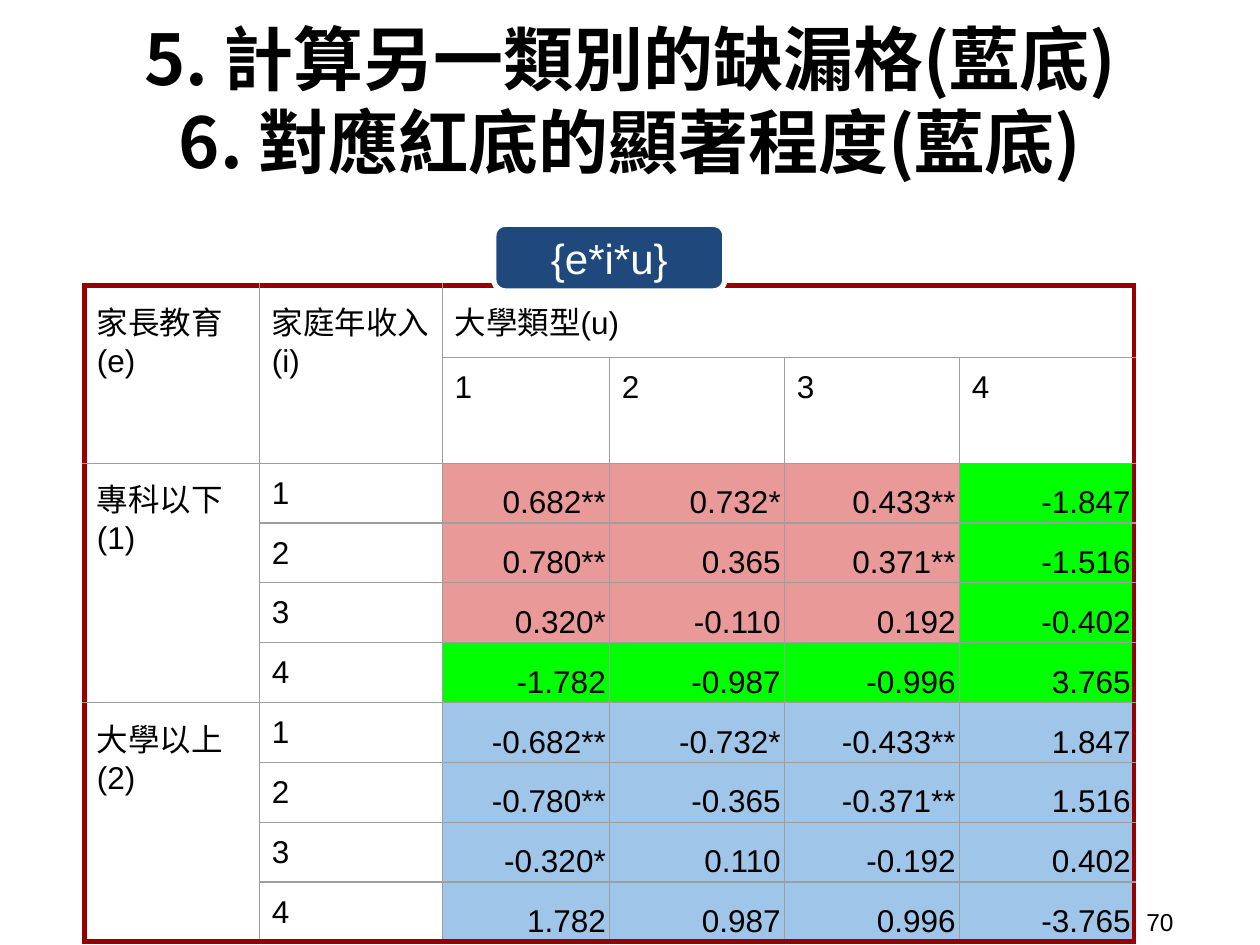
from lxml.etree import SubElement
from pptx import Presentation
from pptx.dml.color import RGBColor
from pptx.enum.shapes import MSO_SHAPE
from pptx.enum.text import MSO_ANCHOR, PP_ALIGN
from pptx.oxml.ns import qn
from pptx.util import Pt

BLACK, WHITE, GREY, RED = "000000", "FFFFFF", "9E9E9E", "980000"
PINK, GREEN, BLUE, NAVY = "EA9999", "00FF00", "9FC5E8", "1F497D"
CJK = "Noto Sans CJK TC"

COLUMN_WIDTHS = [100, 104.5, 95.5, 100, 100, 100]
ROW_HEIGHTS = [41, 60.5] + [34.2] * 8
HEADING_MARGINS = (7.2, 10, 7.2, 4)
LEVEL_MARGINS = (7.2, 7.2, 7.2, 4)
VALUE_MARGINS = (2, 1.5, 2, 1.5)

EDUCATION = ["專科以下\n(1)", "大學以上\n(2)"]
ESTIMATES = [
    ["0.682**", "0.732*", "0.433**", "-1.847"],
    ["0.780**", "0.365", "0.371**", "-1.516"],
    ["0.320*", "-0.110", "0.192", "-0.402"],
    ["-1.782", "-0.987", "-0.996", "3.765"],
    ["-0.682**", "-0.732*", "-0.433**", "1.847"],
    ["-0.780**", "-0.365", "-0.371**", "1.516"],
    ["-0.320*", "0.110", "-0.192", "0.402"],
    ["1.782", "0.987", "0.996", "-3.765"],
]


def color(hex_string):
    return RGBColor.from_string(hex_string)


def write(frame, text, size=18, font="Arial", ink=BLACK, bold=False,
          align=PP_ALIGN.LEFT, spacing=None):
    """Fill a text frame; a newline starts a paragraph, \\v breaks a line."""
    frame.word_wrap = True
    frame.text = text
    for paragraph in frame.paragraphs:
        paragraph.alignment = align
        if spacing:
            paragraph.line_spacing = Pt(spacing)
        for run in paragraph.runs:
            run.font.size, run.font.bold = Pt(size), bold
            run.font.name = font
            run.font.color.rgb = color(ink)
            SubElement(run.font._element, qn("a:ea"), typeface=font)


def set_margins(holder, left, top, right, bottom):
    holder.margin_left, holder.margin_top = Pt(left), Pt(top)
    holder.margin_right, holder.margin_bottom = Pt(right), Pt(bottom)


def add_text(slide, box, text, margins, anchor, **style):
    frame = slide.shapes.add_textbox(*map(Pt, box)).text_frame
    set_margins(frame, *margins)
    frame.vertical_anchor = anchor
    write(frame, text, **style)


def add_badge(slide, box):
    badge = slide.shapes.add_shape(MSO_SHAPE.ROUNDED_RECTANGLE, *map(Pt, box))
    badge.shadow.inherit = False
    badge.adjustments[0] = 0.17
    badge.fill.solid()
    badge.fill.fore_color.rgb = color(NAVY)
    badge.line.color.rgb = color(WHITE)
    badge.line.width = Pt(3)
    badge.text_frame.vertical_anchor = MSO_ANCHOR.MIDDLE
    set_margins(badge.text_frame, 7.2, 7.2, 7.2, 7.2)
    write(badge.text_frame, "{e*i*u}", size=24, ink=WHITE, align=PP_ALIGN.CENTER)


def set_borders(cell, outer_sides):
    """Red on the outer sides of the table, thin grey elsewhere."""
    properties = cell._tc.get_or_add_tcPr()
    for side in "LRTB":
        width, ink = (3, RED) if side in outer_sides else (0.75, GREY)
        line = SubElement(properties, qn(f"a:ln{side}"), w=str(Pt(width)))
        SubElement(SubElement(line, qn("a:solidFill")), qn("a:srgbClr"), val=ink)


def style_cell(table, row, column, text, margins=LEVEL_MARGINS, fill=WHITE,
               anchor=MSO_ANCHOR.TOP, **style):
    cell = table.cell(row, column)
    outer = {
        "L": column == 0,
        "T": row == 0,
        "R": column + cell.span_width == len(COLUMN_WIDTHS),
        "B": row + cell.span_height == len(ROW_HEIGHTS),
    }
    set_borders(cell, [side for side, is_outer in outer.items() if is_outer])
    cell.fill.solid()
    cell.fill.fore_color.rgb = color(fill)
    set_margins(cell, *margins)
    cell.vertical_anchor = anchor
    write(cell.text_frame, text, **style)


def add_estimates(slide, left, top):
    table = slide.shapes.add_table(
        len(ROW_HEIGHTS), len(COLUMN_WIDTHS), Pt(left), Pt(top),
        Pt(sum(COLUMN_WIDTHS)), Pt(sum(ROW_HEIGHTS))).table
    table.first_row = table.horz_banding = False
    for column, width in zip(table.columns, COLUMN_WIDTHS):
        column.width = Pt(width)
    for row, height in zip(table.rows, ROW_HEIGHTS):
        row.height = Pt(height)

    # Header rows
    for column in (0, 1):
        table.cell(0, column).merge(table.cell(1, column))
    table.cell(0, 2).merge(table.cell(0, 5))
    for column, heading in enumerate(["家長教育\n(e)", "家庭年收入\n(i)", "大學類型(u)"]):
        style_cell(table, 0, column, heading, HEADING_MARGINS, spacing=21.7)
    for university in range(1, 5):
        style_cell(table, 1, university + 1, str(university))

    # Education groups of four income levels
    for group, label in enumerate(EDUCATION):
        first = 2 + 4 * group
        table.cell(first, 0).merge(table.cell(first + 3, 0))
        style_cell(table, first, 0, label, HEADING_MARGINS, spacing=21.7)

    # Estimates: the last row and column of the first group are green
    for index, values in enumerate(ESTIMATES):
        group, income = divmod(index, 4)
        style_cell(table, index + 2, 1, str(income + 1))
        for university, value in enumerate(values):
            fill = BLUE if group else GREEN if 3 in (income, university) else PINK
            style_cell(table, index + 2, university + 2, value, VALUE_MARGINS,
                       fill, MSO_ANCHOR.BOTTOM, align=PP_ALIGN.RIGHT)


def main():
    deck = Presentation()
    deck.slide_width, deck.slide_height = Pt(720), Pt(540)
    slide = deck.slides.add_slide(deck.slide_layouts[6])

    # Title
    add_text(slide, (37.5, 13.5, 645, 98),
             "5. 計算另一類別的缺漏格(藍底)\v6. 對應紅底的顯著程度(藍底)",
             (7.2, 7.2, 7.2, 7.2), MSO_ANCHOR.BOTTOM, size=40, font=CJK,
             bold=True, align=PP_ALIGN.CENTER, spacing=47.5)
    # Page number
    add_text(slide, (648, 516, 66, 21), "70", (7.2, 3.6, 7.2, 3.6),
             MSO_ANCHOR.MIDDLE, size=14)
    # Table and its badge
    add_estimates(slide, 48.2, 163.2)
    add_badge(slide, (282.2, 128.2, 132, 38))

    deck.save("out.pptx")


if __name__ == "__main__":
    main()
